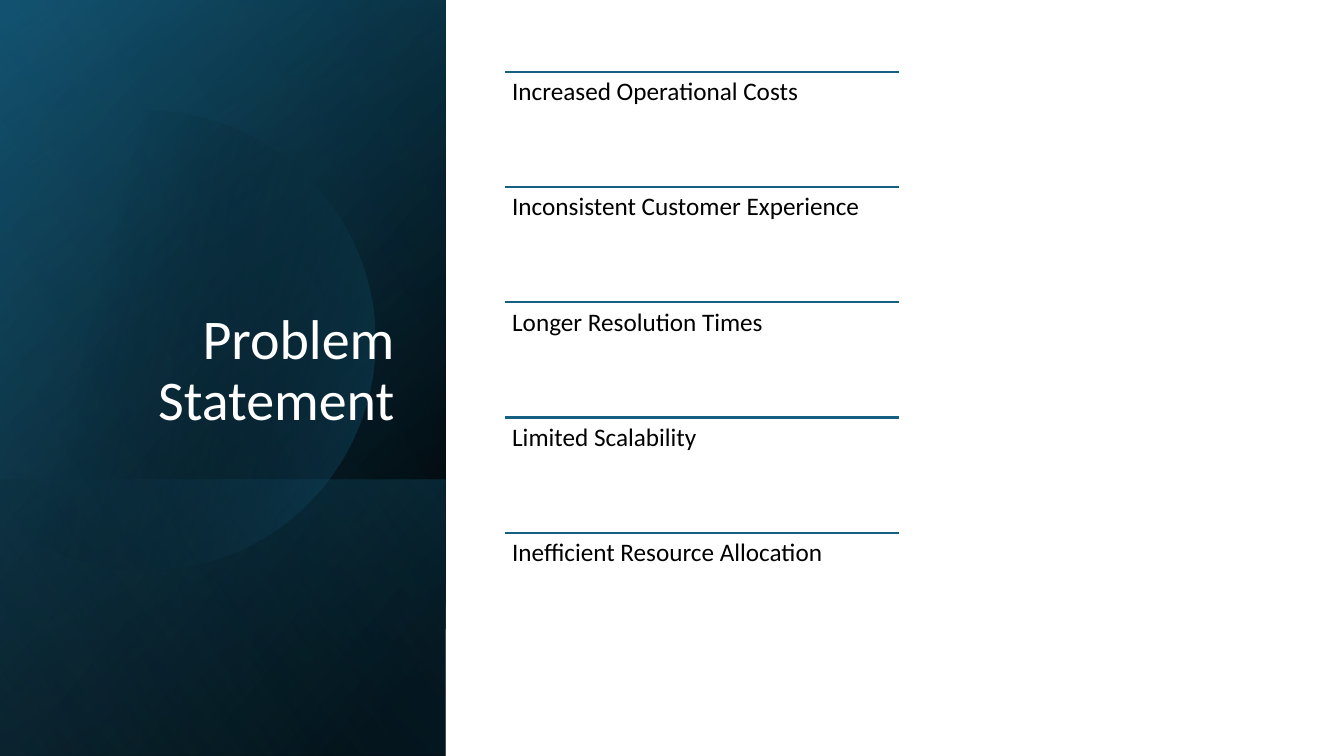
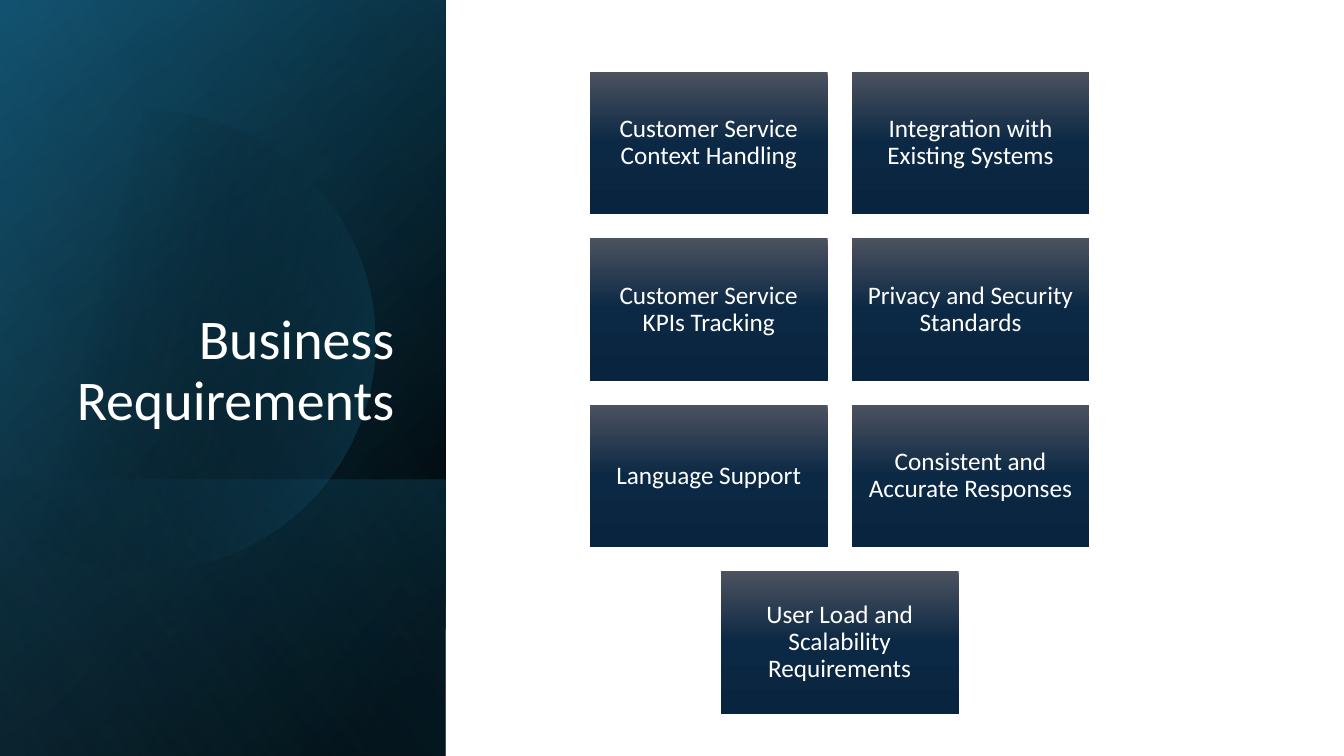
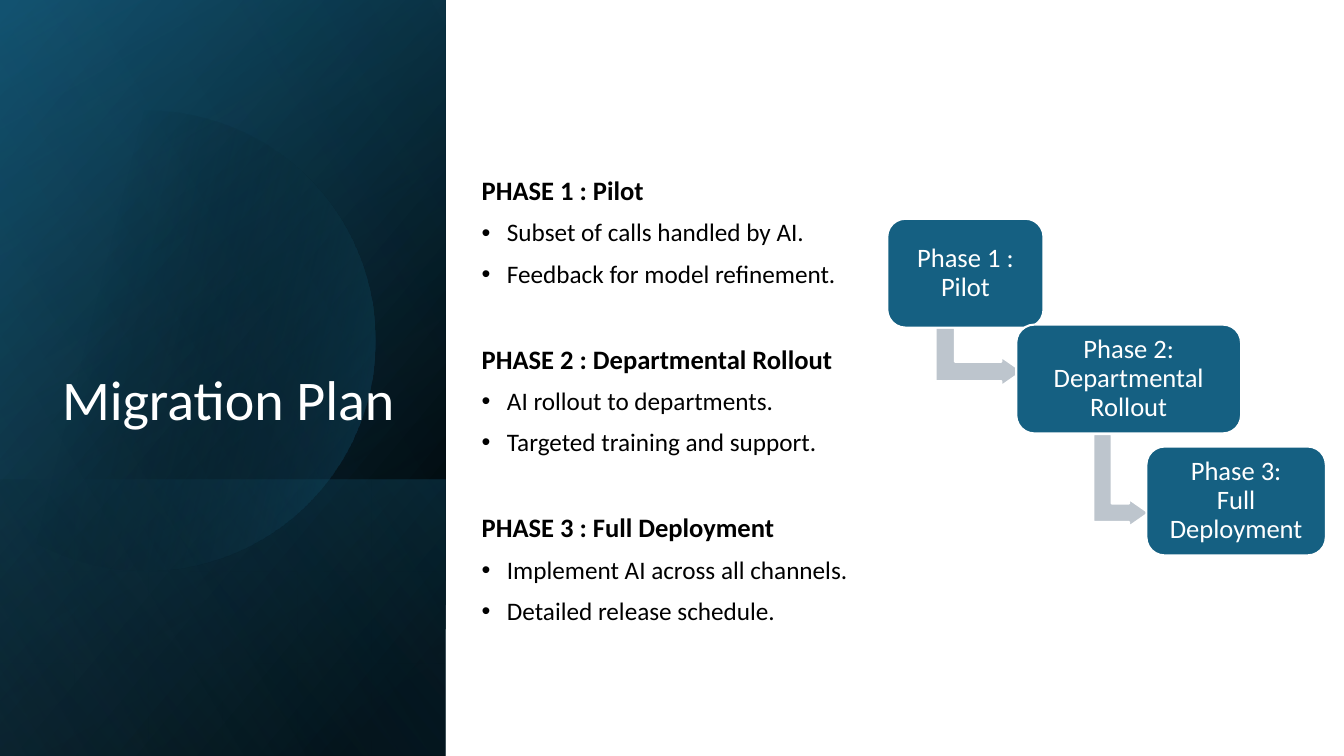
from dataclasses import dataclass
from math import acos, cos, pi, sin
from typing import NamedTuple

from lxml.etree import SubElement
from pptx import Presentation
from pptx.dml.color import RGBColor
from pptx.enum.shapes import MSO_CONNECTOR, MSO_SHAPE
from pptx.enum.text import MSO_ANCHOR, PP_ALIGN
from pptx.oxml import parse_xml
from pptx.oxml.ns import nsdecls, qn
from pptx.util import Inches, Pt

WIDE, HIGH = 13.33, 7.5


@dataclass(frozen=True)
class Theme:
    font: str = "Calibri"
    white: str = "FFFFFF"
    black: str = "000000"
    blue: str = "156082"
    navy: str = "104862"
    sky: str = "46B1E1"
    grey: str = "BDC5CD"
    card: tuple = ("4C525F", "0B2844", "08243E")
    title: int = 40
    head: int = 19
    body: int = 18
    rule: float = 1.5


T = Theme()


class Box(NamedTuple):
    left: float
    top: float
    width: float
    height: float

    def emu(self) -> list:
        return [Inches(v) for v in self]


class Stop(NamedTuple):
    pos: int
    color: str
    alpha: int = 100


class Layer(NamedTuple):
    top: float
    angle: int
    stops: tuple


class Step(NamedTuple):
    text: str
    box: Box


class Phase(NamedTuple):
    head: str
    points: tuple


PANEL = 4.42
BASE, *GLOW = (
    Layer(0, 220, (Stop(8, T.black), Stop(100, T.navy))),
    Layer(0, 240, (Stop(0, T.black, 0), Stop(99, T.blue, 46))),
    Layer(4.76, 140, (Stop(2, T.blue, 29), Stop(100, T.black, 30))),
    Layer(0, 150, (Stop(0, T.black, 0), Stop(99, T.sky, 11))),
)
DISC = Layer(0, 14, (Stop(29, T.black, 0), Stop(100, T.blue, 43)))

ISSUES = (
    "Increased Operational Costs",
    "Inconsistent Customer Experience",
    "Longer Resolution Times",
    "Limited Scalability",
    "Inefficient Resource Allocation",
)
NEEDS = (
    "Customer Service Context Handling",
    "Integration with Existing Systems",
    "Customer Service KPIs Tracking",
    "Privacy and Security Standards",
    "Language Support",
    "Consistent and Accurate Responses",
    "User Load and Scalability Requirements",
)
PHASES = (
    Phase("PHASE 1 : Pilot",
          ("Subset of calls handled by AI.", "Feedback for model refinement.")),
    Phase("PHASE 2 : Departmental Rollout",
          ("AI rollout to departments.", "Targeted training and support.")),
    Phase("PHASE 3 : Full Deployment",
          ("Implement AI across all channels.", "Detailed release schedule.")),
)
STEPS = (
    Step("Phase 1 : Pilot", Box(8.8, 2.17, 1.55, 1.08)),
    Step("Phase 2:\nDepartmental\nRollout", Box(10.08, 3.22, 2.23, 1.08)),
    Step("Phase 3:\nFull Deployment", Box(11.37, 4.43, 1.78, 1.08)),
)
ARROWS = (Box(9.42, 3.11, 0.58, 0.86), Box(10.66, 4.49, 0.92, 0.55))


def rgb(color: str) -> RGBColor:
    return RGBColor.from_string(color)


def grade(shape, stops: tuple, angle: int) -> None:
    """Fill a shape with a linear gradient, angle clockwise from left to right."""
    marks = "".join(
        f'<a:gs pos="{s.pos * 1000}"><a:srgbClr val="{s.color}">'
        f'<a:alpha val="{s.alpha * 1000}"/></a:srgbClr></a:gs>' for s in stops)
    shape.fill.background()
    props = shape.element.spPr
    props.replace(props.find(qn("a:noFill")), parse_xml(
        f'<a:gradFill rotWithShape="1" {nsdecls("a")}><a:gsLst>{marks}</a:gsLst>'
        f'<a:lin ang="{angle * 60000}" scaled="0"/></a:gradFill>'))


def draw(slide, kind, box: Box, fill: str = "", line: str = ""):
    shape = slide.shapes.add_shape(kind, *box.emu())
    shape.shadow.inherit = False
    if fill:
        shape.fill.solid()
        shape.fill.fore_color.rgb = rgb(fill)
    if line:
        shape.line.color.rgb = rgb(line)
        shape.line.width = Pt(T.rule)
    else:
        shape.line.fill.background()
    return shape


def write(frame, text: str, *, size: int = T.body, color: str = T.black,
          bold: bool = False, align=PP_ALIGN.LEFT, before: float = 0,
          bullet: bool = False, more: bool = False) -> None:
    """Write one paragraph: the first of the frame, or one more after it."""
    para = frame.add_paragraph() if more else frame.paragraphs[0]
    if bullet:
        props = para._p.get_or_add_pPr()
        props.set("marL", str(Inches(0.25)))
        props.set("indent", str(-Inches(0.25)))
        SubElement(props, qn("a:buFont")).set("typeface", "Arial")
        SubElement(props, qn("a:buChar")).set("char", "•")
    para.text = text
    para.alignment = align
    para.line_spacing = 0.9
    para.space_before = Pt(before)
    for run in para.runs:
        font = run.font
        font.name, font.size, font.bold = T.font, Pt(size), bold
        font.color.rgb = rgb(color)


def setup(frame, anchor, inset: float = 0):
    """Wrap a text frame and anchor it; an inset of 0 keeps the usual margins."""
    frame.word_wrap = True
    frame.vertical_anchor = anchor
    if inset:
        frame.margin_left = frame.margin_right = Inches(inset)
        frame.margin_top = frame.margin_bottom = Inches(inset)
    return frame


def area(slide, box: Box, anchor=MSO_ANCHOR.TOP, inset: float = 0):
    return setup(slide.shapes.add_textbox(*box.emu()).text_frame, anchor, inset)


def band(slide, layer: Layer) -> None:
    box = Box(0, layer.top, PANEL, HIGH - layer.top)
    grade(draw(slide, MSO_SHAPE.RECTANGLE, box), layer.stops, layer.angle)


def disc(slide, x: float = 1.44, y: float = 3.38, r: float = 2.28) -> None:
    """Draw a disc cut off by the left edge of the slide."""
    edge, count = acos(-x / r), 90
    turns = [edge * (2 * i / count - 1) for i in range(count + 1)]
    dots = [(Inches(x + r * cos(a)), Inches(y + r * sin(a))) for a in turns]
    form = slide.shapes.build_freeform(*dots[0])
    form.add_line_segments(dots[1:], close=True)
    shape = form.convert_to_shape()
    shape.shadow.inherit = False
    shape.line.fill.background()
    grade(shape, DISC.stops, DISC.angle)


def start(deck, title: str):
    """Add a slide with the dark side panel and its title."""
    slide = deck.slides.add_slide(deck.slide_layouts[6])
    for layer in (BASE, *GLOW[:2]):
        band(slide, layer)
    disc(slide)
    band(slide, GLOW[2])
    frame = area(slide, Box(0.51, 0.64, 3.5, 3.7), MSO_ANCHOR.BOTTOM)
    write(frame, title, size=T.title, color=T.white, align=PP_ALIGN.RIGHT)
    return slide


def issues(deck) -> None:
    slide = start(deck, "Problem Statement")
    left, top, width, height = 5.01, 0.71, 3.91, 5.72
    row = height / len(ISSUES)
    for i, text in enumerate(ISSUES):
        y = top + i * row
        rule = slide.shapes.add_connector(
            MSO_CONNECTOR.STRAIGHT, Inches(left), Inches(y),
            Inches(left + width), Inches(y))
        rule.line.color.rgb = rgb(T.blue)
        rule.line.width = Pt(T.rule)
        SubElement(rule.element.spPr, qn("a:effectLst"))
        write(area(slide, Box(left, y, width, row), inset=0.07), text)


def needs(deck) -> None:
    slide = start(deck, "Business Requirements")
    left, top, width, cols = 5.85, 0.71, 2.36, 2
    height, gap = 0.6 * width, 0.1 * width
    stops = tuple(Stop(50 * i, c) for i, c in enumerate(T.card))
    for i, text in enumerate(NEEDS):
        row, col = divmod(i, cols)
        count = min(cols, len(NEEDS) - row * cols)
        col += (cols - count) / 2
        box = Box(left + col * (width + gap), top + row * (height + gap),
                  width, height)
        card = draw(slide, MSO_SHAPE.RECTANGLE, box)
        grade(card, stops, 90)
        write(setup(card.text_frame, MSO_ANCHOR.MIDDLE, 0.07), text,
              color=T.white, align=PP_ALIGN.CENTER)


def plan(deck) -> None:
    slide = start(deck, "Migration Plan")
    frame = area(slide, Box(4.68, 0.95, 7.17, 6.07), MSO_ANCHOR.MIDDLE)
    for i, phase in enumerate(PHASES):
        write(frame, phase.head, size=T.head, bold=True,
              before=41 if i else 0, more=i > 0)
        for point in phase.points:
            write(frame, point, before=10, bullet=True, more=True)
    for i, step in enumerate(STEPS):
        if i < len(ARROWS):
            arrow = draw(slide, MSO_SHAPE.BENT_UP_ARROW, ARROWS[i], T.grey, T.white)
            arrow.rotation = 90
            for n, share in enumerate((0.33, 0.25, 0.36)):
                arrow.adjustments[n] = share
        card = draw(slide, MSO_SHAPE.ROUNDED_RECTANGLE, step.box, T.blue, T.white)
        write(setup(card.text_frame, MSO_ANCHOR.MIDDLE, 0.08), step.text,
              size=T.head, color=T.white, align=PP_ALIGN.CENTER)


def main() -> None:
    deck = Presentation()
    deck.slide_width, deck.slide_height = Inches(WIDE), Inches(HIGH)
    for build in (issues, needs, plan):
        build(deck)
    deck.save("out.pptx")


if __name__ == "__main__":
    main()
